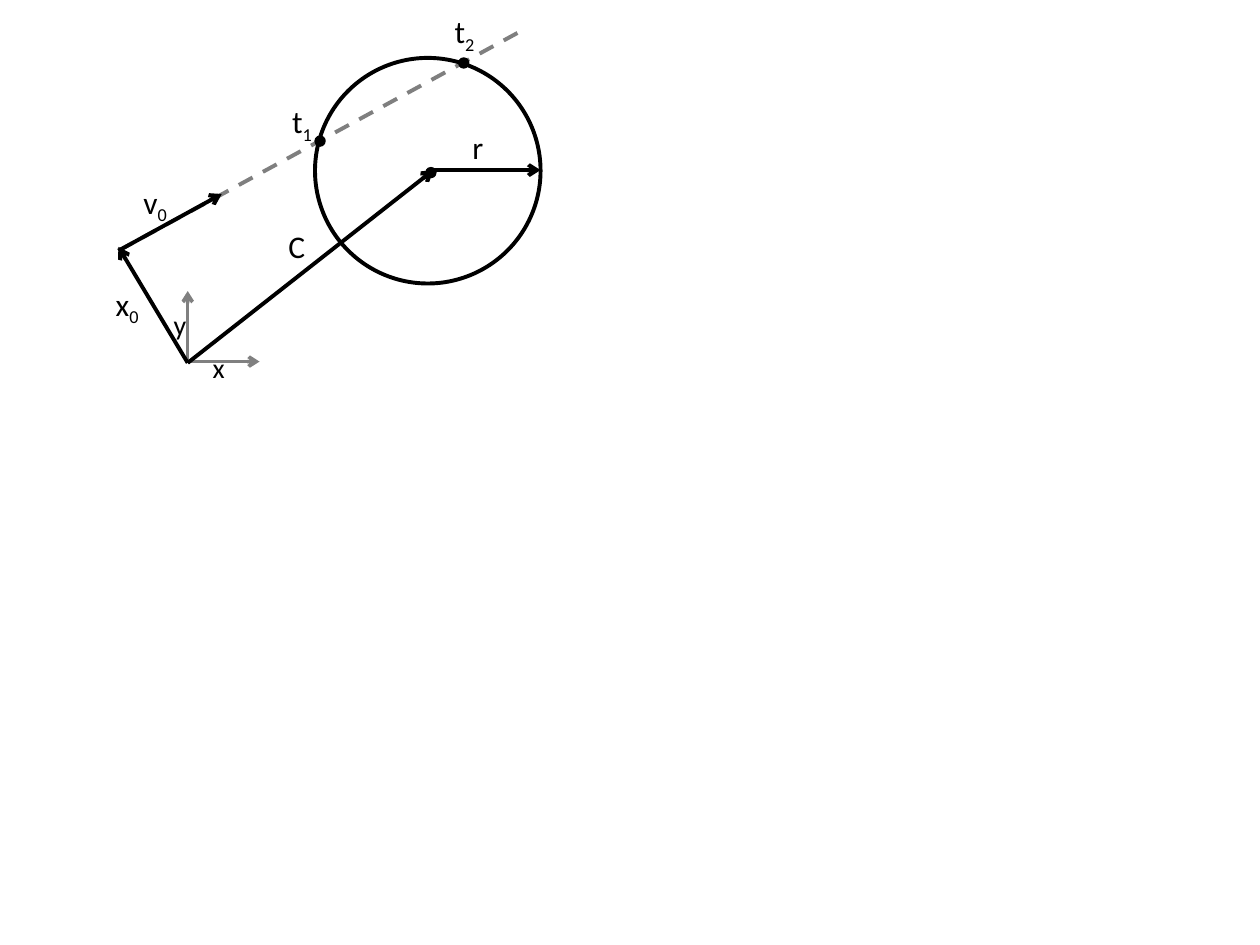
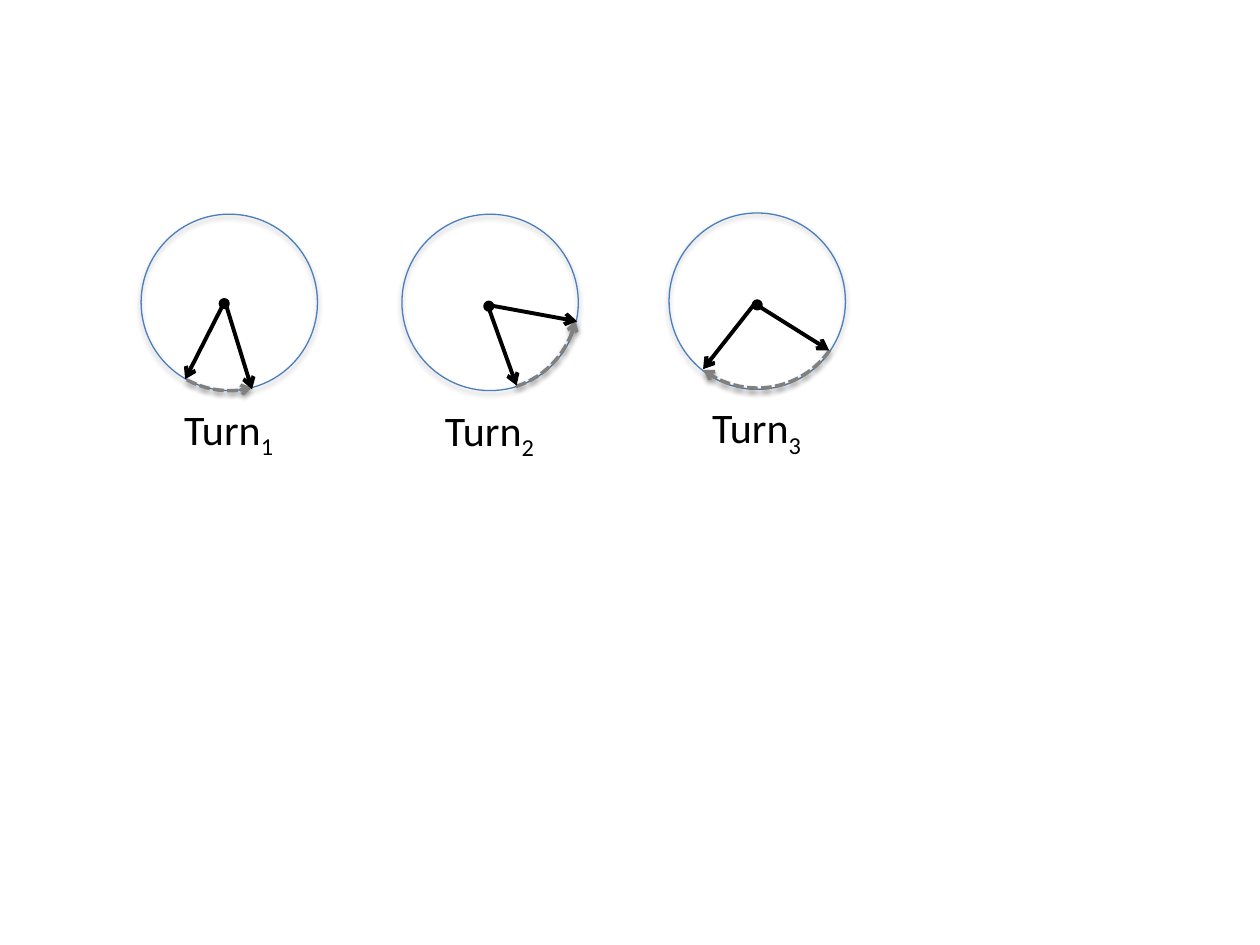
from lxml import etree
from pptx import Presentation
from pptx.dml.color import RGBColor
from pptx.enum import dml, shapes, text
from pptx.oxml.ns import qn
from pptx.util import Inches, Pt

BLACK = RGBColor(0x00, 0x00, 0x00)
GRAY = RGBColor(0x80, 0x80, 0x80)
RAY_GRAY = RGBColor(0x7F, 0x7F, 0x7F)
BLUE = RGBColor(0x4B, 0x7E, 0xBC)
FONT = "Calibri"
OVAL = shapes.MSO_SHAPE.OVAL
STRAIGHT = shapes.MSO_CONNECTOR.STRAIGHT


def add_text(container, content, at, size=18, sub="", align=None):
    tb = container.add_textbox(*map(Inches, at))
    tf = tb.text_frame
    tf.word_wrap = True
    tf.auto_size = text.MSO_AUTO_SIZE.SHAPE_TO_FIT_TEXT
    p = tf.paragraphs[0]
    p.alignment = align
    for part in filter(None, (content, sub)):
        r = p.add_run()
        r.text = part
        r.font.name = FONT
        r.font.size = Pt(size)
        r.font.color.rgb = BLACK
    if sub:
        r.font._element.set("baseline", "-25000")


def style(sp, color, width, fill=None, dash=None, arrow=False, shadow=None):
    sp.line.color.rgb = color
    sp.line.width = Pt(width)
    if dash:
        sp.line.dash_style = dash
    if arrow:
        etree.SubElement(sp.line._get_or_add_ln(), qn("a:tailEnd"), type="arrow")
    if hasattr(sp, "fill"):
        if fill is None:
            sp.fill.background()
        else:
            sp.fill.solid()
            sp.fill.fore_color.rgb = fill
    effects = etree.SubElement(sp._element.spPr, qn("a:effectLst"))
    if shadow:
        alpha, distance = shadow
        outer = etree.SubElement(effects, qn("a:outerShdw"), blurRad="40000",
                                 dist=str(distance), dir="5400000", rotWithShape="0")
        shade = etree.SubElement(outer, qn("a:srgbClr"), val=str(BLACK))
        etree.SubElement(shade, qn("a:alpha"), val=str(alpha * 1000))


prs = Presentation()
prs.slide_width, prs.slide_height = Inches(10), Inches(7.5)
blank = prs.slide_layouts[6]

s = prs.slides.add_slide(blank)
origin, center, start = (1.49, 2.88), (3.44, 1.35), (0.94, 1.99)

ray = s.shapes.add_connector(STRAIGHT, *map(Inches, (*start, 4.11, 0.26)))
style(ray, RAY_GRAY, 2.25, dash=dml.MSO_LINE.DASH)
circle = s.shapes.add_shape(OVAL, *map(Inches, (2.5, 0.46, 1.79, 1.79)))
style(circle, BLACK, 2.25)

axes = s.shapes.add_group_shape().shapes
for tip in ((1.49, 2.31), (2.06, 2.87)):
    axis = axes.add_connector(STRAIGHT, *map(Inches, (1.49, 2.87, *tip)))
    style(axis, GRAY, 2, arrow=True)

for tail, tip in ((origin, center), (center, (4.29, 1.35)),
                  (origin, (0.94, 1.96)), (start, (1.76, 1.54))):
    vector = s.shapes.add_connector(STRAIGHT, *map(Inches, (*tail, *tip)))
    style(vector, BLACK, 2.25, arrow=True)

for left, top in ((3.38, 1.33), (3.64, 0.46), (2.5, 1.08)):
    dot = s.shapes.add_shape(OVAL, *map(Inches, (left, top, 0.08, 0.08)))
    style(dot, BLACK, 0.75, fill=BLACK)

for label, sub, left, top, width in (
        ("C", "", 2.19, 1.75, 0.44), ("r", "", 3.65, 0.97, 0.4),
        ("x", "0", 0.82, 2.21, 0.44), ("v", "0", 1.04, 1.4, 0.44),
        ("t", "1", 2.22, 0.76, 0.57), ("t", "2", 3.51, 0.05, 0.57)):
    add_text(s.shapes, label, (left, top, width, 0.4), sub=sub)

axis_labels = s.shapes.add_group_shape().shapes
for label, left, top in (("x", 1.59, 2.73), ("y", 1.28, 2.39)):
    add_text(axis_labels, label, (left, top, 0.44, 0.37), size=16)

s = prs.slides.add_slide(blank)
SIZE, DOT = 1.4, 0.06
turns = (
    dict(circle=(1.12, 1.7), tilt=0, dot=(1.75, 2.38), hub=(1.785, 2.39),
         tips=((1.47, 3.01), (2, 3.09)), arc=(1.12, 1.7), turn=180,
         flips=("flipH",), sweep=(144.73, 170.98), label=(1, 3.15)),
    dict(circle=(3.19, 1.7), tilt=296.8, dot=(3.85, 2.4), hub=(3.87, 2.42),
         tips=((4.1, 3.06), (4.58, 2.55)), arc=(3.18, 1.7), turn=116.8,
         flips=("flipH",), sweep=(134.83, 170.98), label=(3.07, 3.16)),
    dict(circle=(5.31, 1.69), tilt=296.8, dot=(5.98, 2.39), hub=(5.99, 2.41),
         tips=((5.58, 2.93), (6.58, 2.78)), arc=(5.31, 1.68), turn=349,
         flips=("flipH", "flipV"), sweep=(135.51, 191.14), label=(5.19, 3.14)),
)

for number, t in enumerate(turns, 1):
    dial = s.shapes.add_group_shape().shapes
    circle = dial.add_shape(OVAL, *map(Inches, (*t["circle"], SIZE, SIZE)))
    circle.rotation = t["tilt"]
    style(circle, BLUE, 0.75, shadow=(35, 23000))

    dot = dial.add_shape(OVAL, *map(Inches, (*t["dot"], DOT, DOT)))
    dot.rotation = t["tilt"]
    style(dot, BLACK, 2, fill=BLACK)

    arc = dial.add_shape(shapes.MSO_SHAPE.ARC, *map(Inches, (*t["arc"], SIZE, SIZE)))
    arc.rotation = t["turn"]
    for flip in t["flips"]:
        arc._element.spPr.xfrm.set(flip, "1")
    arc.adjustments[0], arc.adjustments[1] = t["sweep"]
    style(arc, GRAY, 2, dash=dml.MSO_LINE.SQUARE_DOT, arrow=True, shadow=(38, 20000))

    for tip in t["tips"]:
        hand = dial.add_connector(STRAIGHT, *map(Inches, (*t["hub"], *tip)))
        style(hand, BLACK, 2.25, arrow=True)

    add_text(s.shapes, "Turn", (*t["label"], 1.63, 0.5), size=24,
             sub=str(number), align=text.PP_ALIGN.CENTER)

prs.save("out.pptx")
